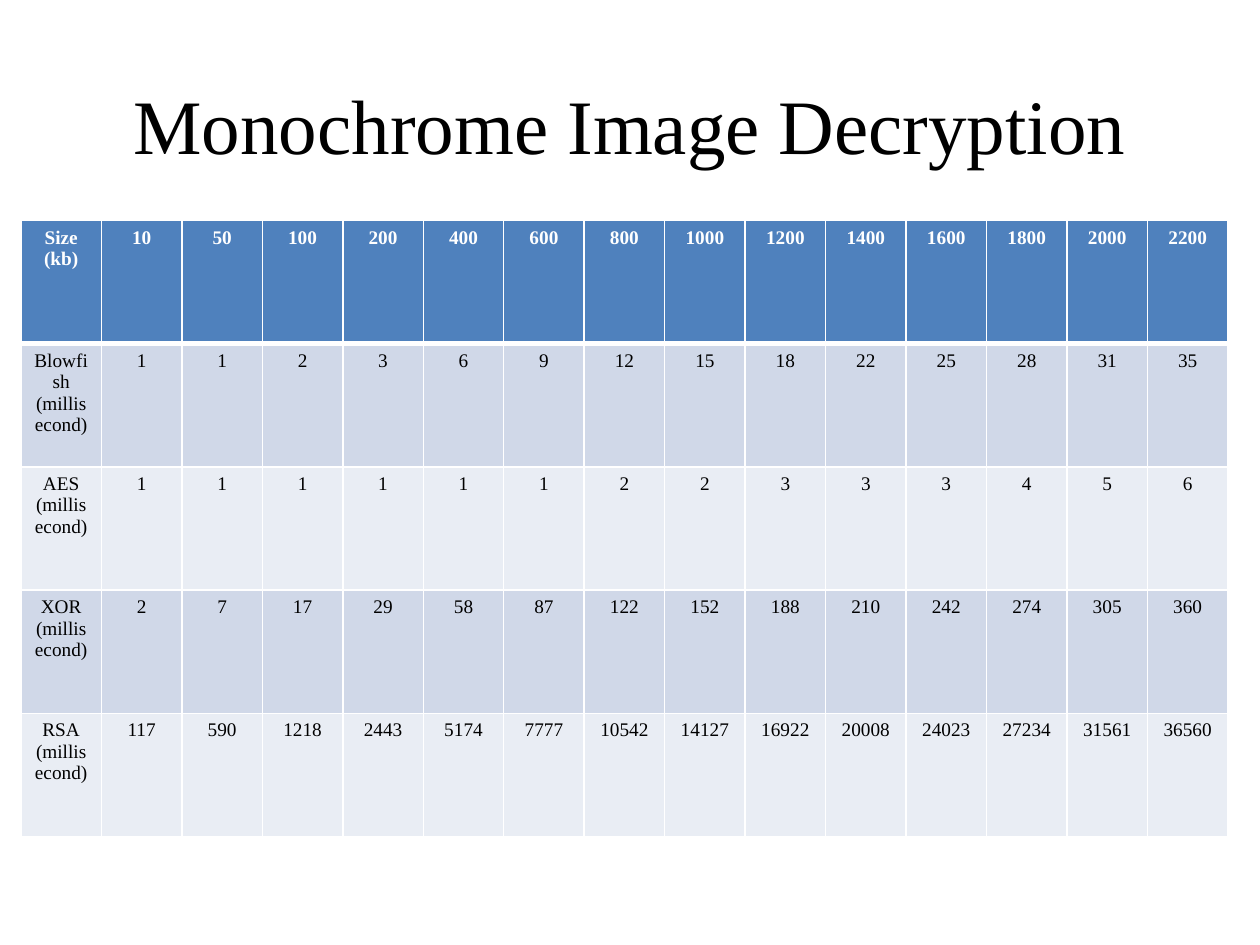
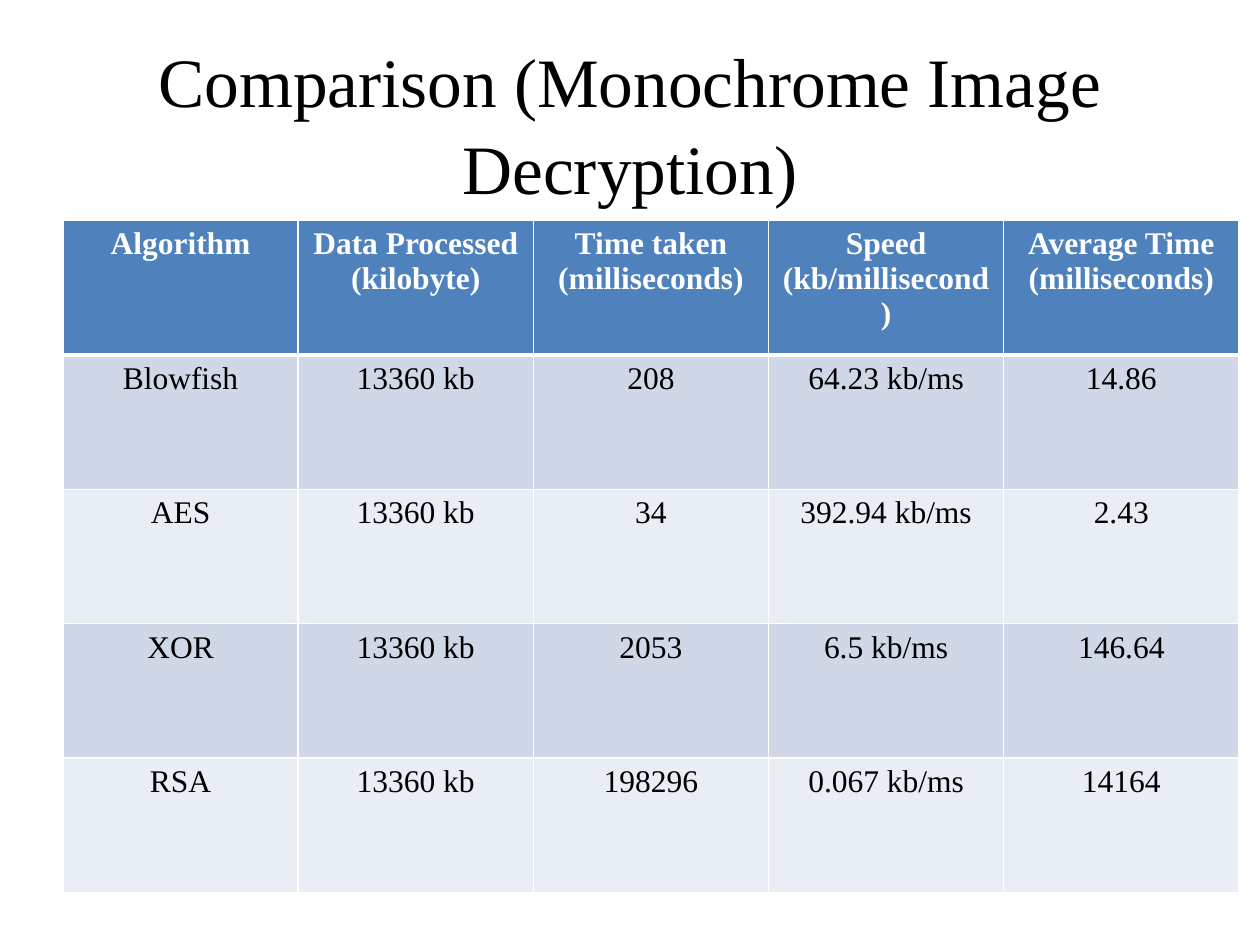
import dataclasses

import lxml.etree
import pptx
import pptx.dml.color
import pptx.enum.text
import pptx.oxml.ns
import pptx.util


@dataclasses.dataclass(frozen=True)
class Theme:
    """Colours, type sizes and grid shared by the slides."""
    font: str = "Times New Roman"
    ink: str = "000000"
    paper: str = "FFFFFF"
    head: str = "4F81BD"
    bands: tuple = ("D0D8E8", "E9EDF4")
    title: float = 44
    long: float = 39.6
    body: float = 18
    small: float = 11
    thin: float = 1
    thick: float = 3
    cols: int = 120
    rows: int = 90


LOOK = Theme()
WIDE, HIGH = pptx.util.Inches(10), pptx.util.Inches(7.5)
TITLE = (6, 3.6, 108, 15)
UNIT = "(millisecond)"
SIZES = ["Size (kb)", 10, 50, *range(100, 101), *range(200, 2201, 200)]
TIMES = {
    "Blowfish": [1, 1, 2, 3, 6, 9, 12, 15, 18, 22, 25, 28, 31, 35],
    "AES": [1, 1, 1, 1, 1, 1, 2, 2, 3, 3, 3, 4, 5, 6],
    "XOR": [2, 7, 17, 29, 58, 87, 122, 152, 188, 210, 242, 274, 305, 360],
    "RSA": [117, 590, 1218, 2443, 5174, 7777, 10542, 14127, 16922, 20008,
            24023, 27234, 31561, 36560],
}
HEADS = ["Algorithm", "Data Processed (kilobyte)", "Time taken (milliseconds)",
         "Speed (kb/millisecond)", "Average Time (milliseconds)"]
RATES = [("Blowfish", 208, "64.23", "14.86"), ("AES", 34, "392.94", "2.43"),
         ("XOR", 2053, "6.5", "146.64"), ("RSA", 198296, "0.067", "14164")]


def place(col, row, wide, high):
    """Turn grid columns and rows into slide lengths."""
    x, y = WIDE / LOOK.cols, HIGH / LOOK.rows
    return [round(part) for part in (col * x, row * y, wide * x, high * y)]


def tint(code):
    """Make a colour from its hex code."""
    return pptx.dml.color.RGBColor.from_string(code)


def put(frame, text, size=LOOK.body, color=LOOK.ink, bold=False, space=None):
    """Write centred text, one paragraph to a line, into a frame."""
    frame.text = str(text)
    for para in frame.paragraphs:
        para.alignment = pptx.enum.text.PP_ALIGN.CENTER
        para.line_spacing = space
        for run in para.runs:
            run.font.name = LOOK.font
            run.font.size = pptx.util.Pt(size)
            run.font.bold = bold
            run.font.color.rgb = tint(color)


def head(slide, text, size):
    """Add the slide title."""
    frame = slide.shapes.add_textbox(*place(*TITLE)).text_frame
    frame.word_wrap = True
    frame.vertical_anchor = pptx.enum.text.MSO_ANCHOR.MIDDLE
    frame.margin_top = pptx.util.Inches(0.13)
    put(frame, text, size=size, space=1.04)


def edge(cell, side, points):
    """Draw one border of a cell."""
    name = pptx.oxml.ns.qn
    line = lxml.etree.SubElement(cell._tc.get_or_add_tcPr(), name(f"a:ln{side}"),
                                 w=str(pptx.util.Pt(points)))
    fill = lxml.etree.SubElement(line, name("a:solidFill"))
    lxml.etree.SubElement(fill, name("a:srgbClr"), val=LOOK.paper)


def grid(slide, box, data, size):
    """Add a banded table with equal columns and rows."""
    left, top, wide, high = place(*box)
    table = slide.shapes.add_table(len(data), len(data[0]), left, top, wide, high).table
    for col in table.columns:
        col.width = wide // len(data[0])
    for row, items in enumerate(data):
        first = row == 0
        table.rows[row].height = high // len(data)
        for col, text in enumerate(items):
            cell = table.cell(row, col)
            for side in "LRTB":
                thick = first and side == "B" or row == 1 and side == "T"
                edge(cell, side, LOOK.thick if thick else LOOK.thin)
            cell.fill.solid()
            cell.fill.fore_color.rgb = tint(LOOK.head if first else LOOK.bands[(row - 1) % 2])
            put(cell.text_frame, text, size=size, bold=first,
                color=LOOK.paper if first else LOOK.ink)


def main():
    """Build both slides and save the deck."""
    deck = pptx.Presentation()
    deck.slide_width, deck.slide_height = WIDE, HIGH
    blank = deck.slide_layouts[6]

    slide = deck.slides.add_slide(blank)
    head(slide, "Monochrome Image Decryption", LOOK.title)
    times = [[f"{name}\n{UNIT}", *row] for name, row in TIMES.items()]
    grid(slide, (2, 21, 115, 58.7), [SIZES, *times], LOOK.small)

    slide = deck.slides.add_slide(blank)
    head(slide, "Comparison (Monochrome Image Decryption)", LOOK.long)
    rates = [[name, "13360 kb", time, f"{speed} kb/ms", mean]
             for name, time, speed, mean in RATES]
    grid(slide, (6, 21, 112, 64), [HEADS, *rates], LOOK.body)

    deck.save("out.pptx")


if __name__ == "__main__":
    main()
